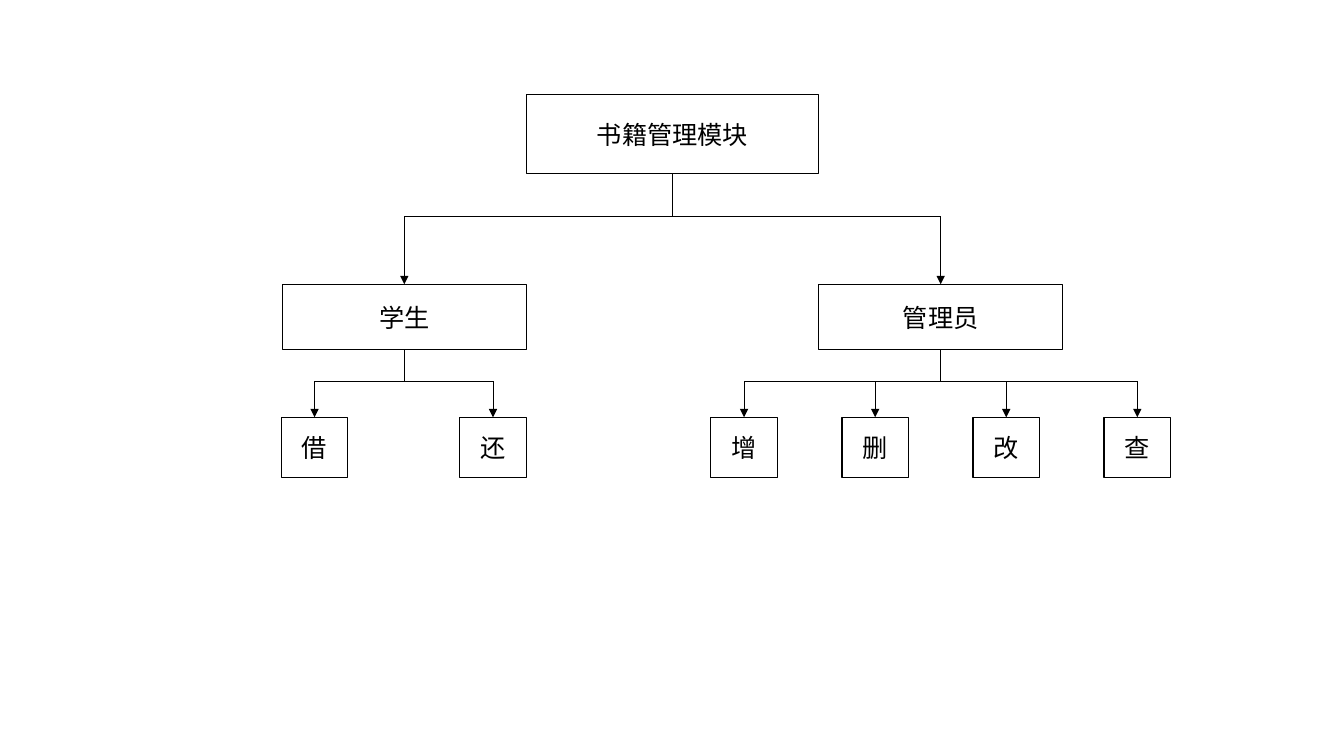
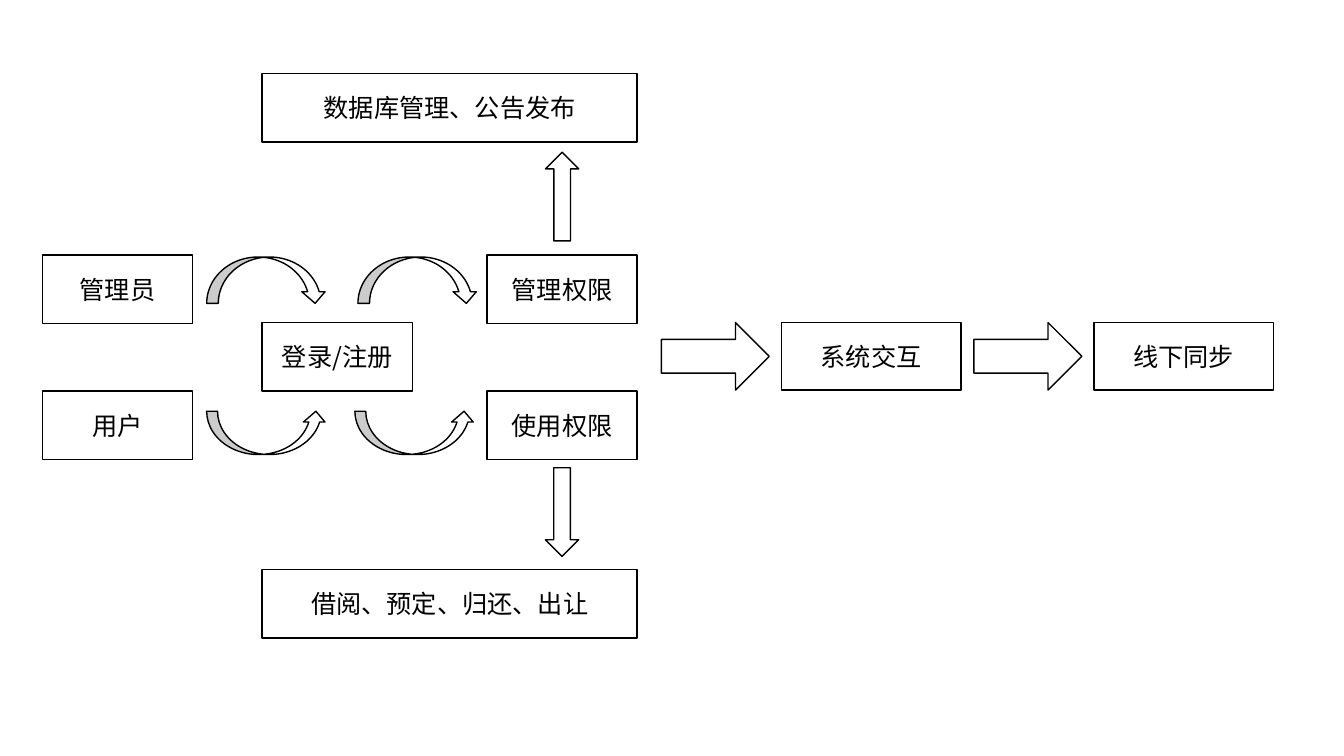
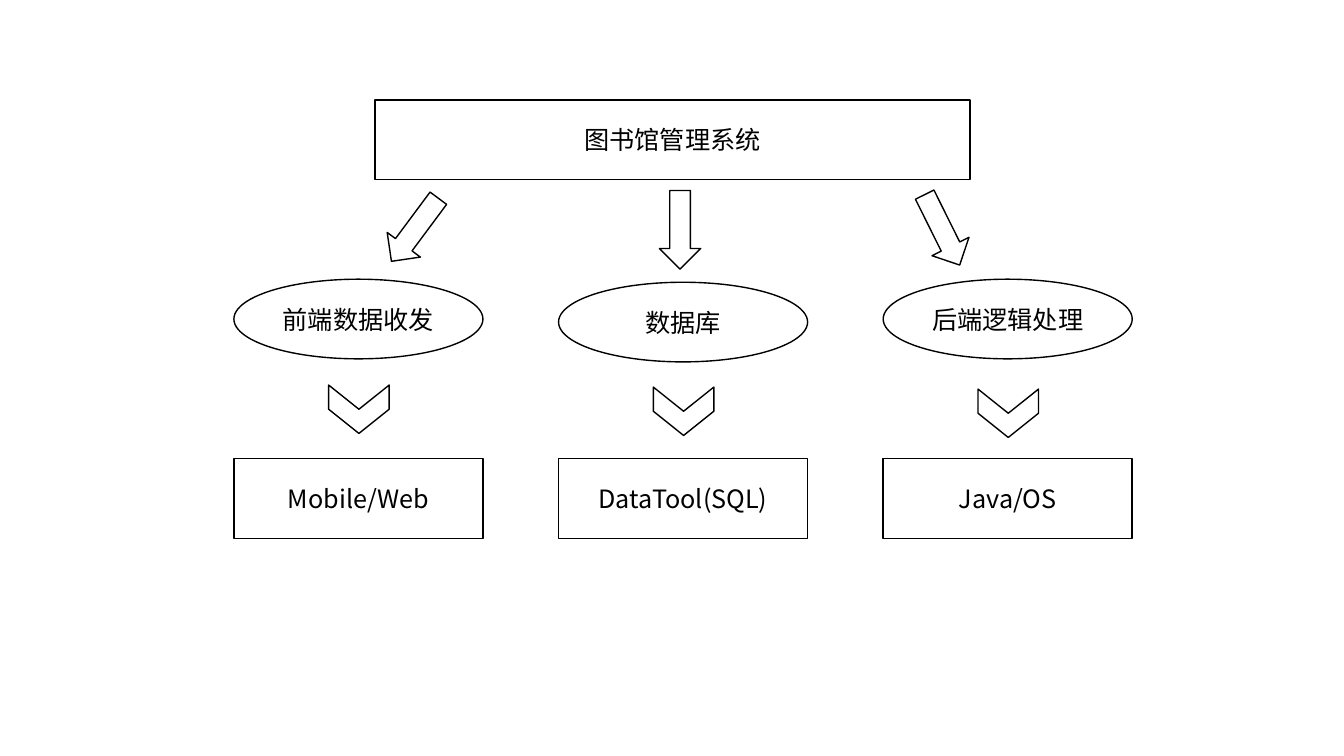
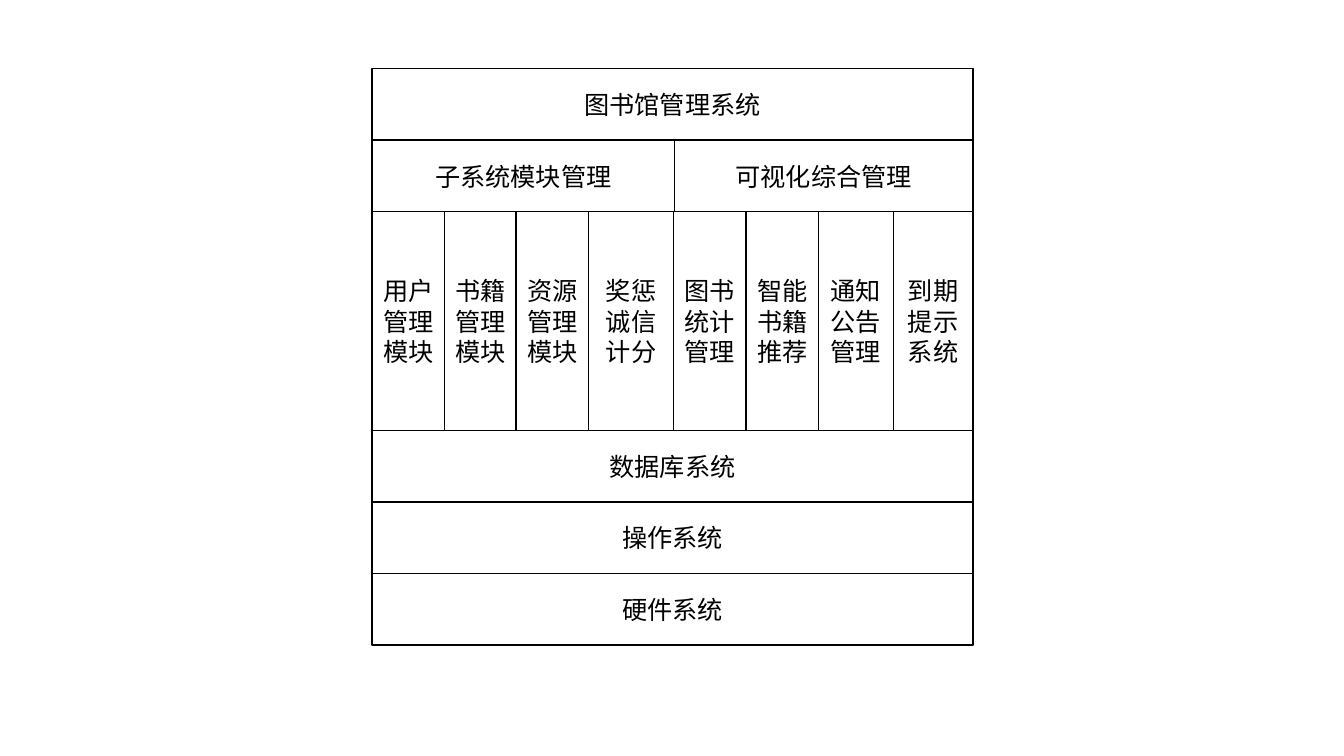
from dataclasses import dataclass
from itertools import accumulate

from lxml.etree import SubElement
from pptx import Presentation
from pptx.dml.color import RGBColor
from pptx.enum.shapes import MSO_CONNECTOR as Connector, MSO_SHAPE as Shape
from pptx.enum.text import MSO_ANCHOR as Anchor, PP_ALIGN as Align
from pptx.oxml.ns import qn
from pptx.util import Inches, Pt


@dataclass(frozen=True)
class Theme:
    ink: RGBColor = RGBColor(0, 0, 0)
    paper: RGBColor = RGBColor(255, 255, 255)
    font: str = "Noto Sans CJK SC"
    text_size: Pt = Pt(18)
    outline: Pt = Pt(1)
    link: Pt = Pt(0.5)


THEME = Theme()


def add_figure(slide, kind, left, top, width, height, rotation=0):
    shape = slide.shapes.add_shape(
        kind, Inches(left), Inches(top), Inches(width), Inches(height)
    )
    shape.shadow.inherit = False
    shape.rotation = rotation
    shape.fill.solid()
    shape.fill.fore_color.rgb = THEME.paper
    shape.line.color.rgb = THEME.ink
    shape.line.width = THEME.outline
    return shape


def add_label(slide, text, left, top, width, height, kind=Shape.RECTANGLE):
    shape = add_figure(slide, kind, left, top, width, height)
    frame = shape.text_frame
    frame.word_wrap = True
    frame.vertical_anchor = Anchor.MIDDLE
    paragraph = frame.paragraphs[0]
    paragraph.alignment = Align.CENTER
    run = paragraph.add_run()
    run.text = text
    run.font.size = THEME.text_size
    run.font.name = THEME.font
    run.font.color.rgb = THEME.ink
    SubElement(run.font._element, qn("a:ea"), typeface=THEME.font)


def add_line(slide, start, end, arrow=False):
    connector = slide.shapes.add_connector(
        Connector.STRAIGHT, *(Inches(value) for value in (*start, *end))
    )
    connector.line.color.rgb = THEME.ink
    connector.line.width = THEME.link
    if arrow:
        SubElement(connector.line._get_or_add_ln(), qn("a:tailEnd"), type="triangle")
    SubElement(connector._element.spPr, qn("a:effectLst"))


def add_branch(slide, parent_x, top, rail, bottom, children):
    add_line(slide, (parent_x, top), (parent_x, rail))
    add_line(slide, (children[0], rail), (children[-1], rail))
    for child_x in children:
        add_line(slide, (child_x, rail), (child_x, bottom), arrow=True)


def add_row(slide, left, top, height, cells):
    widths = [width for _, width in cells]
    for (text, width), offset in zip(cells, accumulate(widths, initial=0)):
        add_label(slide, text, left + offset, top, width, height)


def build_book_module(slide):
    role_width, action_width = 2.42, 0.66
    roles = [
        ("学生", 2.8, "借还", 2.79, 1.77),
        ("管理员", 8.12, "增删改查", 7.05, 1.3),
    ]
    add_label(slide, "书籍管理模块", 5.22, 0.94, 2.9, 0.78)
    centers = [left + role_width / 2 for _, left, *_ in roles]
    add_branch(slide, 6.67, 1.72, 2.15, 2.82, centers)
    for (role, left, actions, first, step), center in zip(roles, centers):
        add_label(slide, role, left, 2.82, role_width, 0.65)
        lefts = [first + step * index for index in range(len(actions))]
        for action, action_left in zip(actions, lefts):
            add_label(slide, action, action_left, 4.14, action_width, 0.6)
        action_centers = [value + action_width / 2 for value in lefts]
        add_branch(slide, center, 3.47, 3.78, 4.14, action_centers)


def build_access_flow(slide):
    for text, left, top in [
        ("管理员", 0.42, 2.53),
        ("用户", 0.42, 3.88),
        ("登录/注册", 2.6, 3.2),
        ("管理权限", 4.83, 2.53),
        ("使用权限", 4.83, 3.88),
    ]:
        add_label(slide, text, left, top, 1.49, 0.68)
    for text, top in [("数据库管理、公告发布", 0.73), ("借阅、预定、归还、出让", 5.65)]:
        add_label(slide, text, 2.6, top, 3.72, 0.68)
    for kind, top, height, lefts in [
        (Shape.CURVED_UP_ARROW, 4.08, 0.43, (2.05, 3.52)),
        (Shape.CURVED_DOWN_ARROW, 2.55, 0.46, (2.05, 3.55)),
    ]:
        for left in lefts:
            add_figure(slide, kind, left, top, 1.19, height)
    for top, rotation in [(4.64, 0), (1.51, 180)]:
        add_figure(slide, Shape.DOWN_ARROW, 5.41, top, 0.33, 0.88, rotation)
    for text, left in [("系统交互", 6.56), ("线下同步", 9.66)]:
        add_figure(slide, Shape.RIGHT_ARROW, left, 3.2, 1.07, 0.67)
        add_label(slide, text, left + 1.19, 3.2, 1.78, 0.67)


def build_system_parts(slide):
    add_label(slide, "图书馆管理系统", 3.72, 0.99, 5.9, 0.79)
    parts = [
        ("前端数据收发", "Mobile/Web", 2.77, 3.76, 3.91, 36.6),
        ("数据库", "DataTool(SQL)", 2.8, 3.78, 6.54, 0),
        ("后端逻辑处理", "Java/OS", 2.77, 3.8, 9.14, 333.6),
    ]
    for index, part in enumerate(parts):
        role, tools, role_top, chevron_top, arrow_left, rotation = part
        left = 2.32 + 3.22 * index
        add_figure(slide, Shape.DOWN_ARROW, arrow_left, 1.89, 0.41, 0.78, rotation)
        add_label(slide, role, left, role_top, 2.47, 0.79, Shape.OVAL)
        add_figure(slide, Shape.CHEVRON, left + 1, chevron_top, 0.48, 0.6, 90)
        add_label(slide, tools, left, 4.55, 2.47, 0.79)


def build_architecture(slide):
    full_width = 5.96
    modules = [
        ("用户管理模块", 0.72),
        ("书籍管理模块", 0.71),
        ("资源管理模块", 0.72),
        ("奖惩诚信计分", 0.84),
        ("图书统计管理", 0.72),
        ("智能书籍推荐", 0.72),
        ("通知公告管理", 0.74),
        ("到期提示系统", 0.79),
    ]
    layers = [
        (0.71, [("图书馆管理系统", full_width)]),
        (0.71, [("子系统模块管理", 3), ("可视化综合管理", 2.96)]),
        (2.17, modules),
        (0.71, [("数据库系统", full_width)]),
        (0.71, [("操作系统", full_width)]),
        (0.71, [("硬件系统", full_width)]),
    ]
    tops = accumulate((height for height, _ in layers), initial=0.68)
    for (height, cells), top in zip(layers, tops):
        add_row(slide, 3.69, top, height, cells)


def main():
    presentation = Presentation()
    presentation.slide_width = Inches(13.33)
    presentation.slide_height = Inches(7.5)
    blank = presentation.slide_layouts[6]
    for build in (
        build_book_module,
        build_access_flow,
        build_system_parts,
        build_architecture,
    ):
        build(presentation.slides.add_slide(blank))
    presentation.save("out.pptx")


main()
